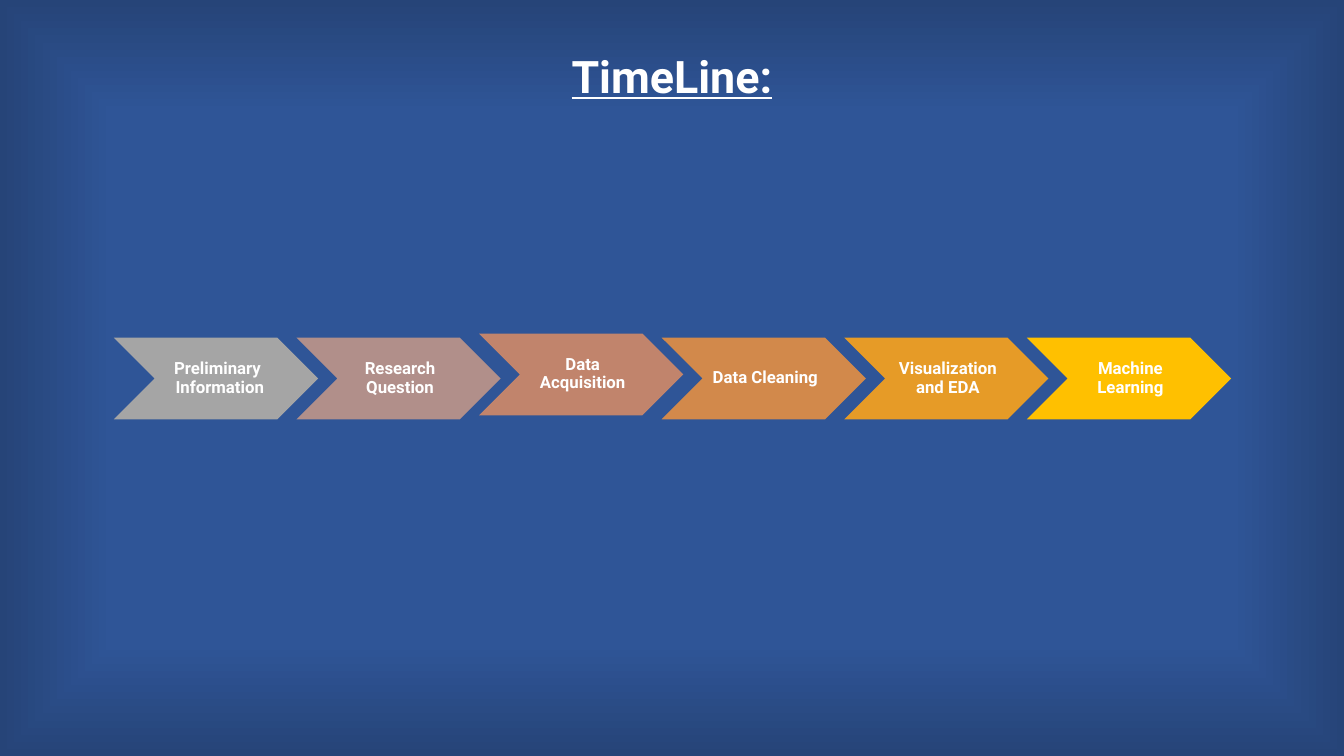
from lxml import etree
from pptx import Presentation
from pptx.dml.color import RGBColor
from pptx.enum.shapes import MSO_SHAPE as SHAPE
from pptx.enum.text import MSO_ANCHOR as ANCHOR, PP_ALIGN as ALIGN
from pptx.oxml import parse_xml
from pptx.util import Inches, Pt

STEPS = [
    ("Preliminary Information ", "A5A5A5"),
    ("Research Question", "B18F8A"),
    ("Data Acquisition", "C1846C"),
    ("Data Cleaning", "D2894B"),
    ("Visualization and EDA", "E69B27"),
    ("Machine Learning", "FFC000"),
]
RAISED_STEP = 2
DRAWING_NS = "http://schemas.openxmlformats.org/drawingml/2006/main"
VIGNETTE = f"""<a:gradFill xmlns:a="{DRAWING_NS}" rotWithShape="1">
  <a:gsLst>
    <a:gs pos="70000"><a:srgbClr val="2F5597"/></a:gs>
    <a:gs pos="100000"><a:srgbClr val="264478"/></a:gs>
  </a:gsLst>
  <a:path path="shape"><a:fillToRect l="50000" t="50000" r="50000" b="50000"/></a:path>
</a:gradFill>"""


def rgb(color):
    return RGBColor.from_string(color)


def write(sp, text, size=12, spacing=0.9, underline=False, anchor=ANCHOR.MIDDLE,
          margins=(0.05, 0.02, 0.02, 0.02), rtl=False):
    tf = sp.text_frame
    tf.word_wrap = True
    tf.vertical_anchor = anchor
    tf.margin_left, tf.margin_top, tf.margin_right, tf.margin_bottom = map(Inches, margins)
    p = tf.paragraphs[0]
    p.alignment = ALIGN.CENTER
    p.line_spacing = spacing
    if rtl:
        p._p.get_or_add_pPr().set("rtl", "1")
    r = p.add_run()
    r.text = text
    r.font.name = "Roboto"
    r.font.size = Pt(size)
    r.font.bold = True
    r.font.underline = underline
    r.font.color.rgb = rgb("FFFFFF")


def paint_background(s):
    """Fill the slide with a gradient that darkens towards its edges."""
    s.background.fill.solid()
    solid = next(s.background._cSld.iter(etree.QName(DRAWING_NS, "solidFill").text))
    solid.getparent().replace(solid, parse_xml(VIGNETTE))


def place_title(s, left, top, width, height):
    title = s.shapes.title
    title.left, title.top = Inches(left), Inches(top)
    title.width, title.height = Inches(width), Inches(height)
    write(title, "TimeLine:", size=32, spacing=1.15, underline=True,
          anchor=ANCHOR.BOTTOM, margins=(0.07, 0.04, 0.07, 0.04))


def draw_timeline(s, left, top, width, height):
    """Spread the chevrons over the box, each overlapping the one before."""
    chevron_width = 2.5 * height
    pitch = (width - chevron_width) / (len(STEPS) - 1)
    for i, (label, color) in enumerate(STEPS):
        y = top - 0.04 if i == RAISED_STEP else top
        sp = s.shapes.add_shape(SHAPE.CHEVRON, Inches(left + i * pitch), Inches(y),
                                Inches(chevron_width), Inches(height))
        sp.shadow.inherit = False
        sp.fill.solid()
        sp.fill.fore_color.rgb = rgb(color)
        sp.line.fill.background()
        write(sp, label, rtl=True)


def main():
    prs = Presentation()
    prs.slide_width, prs.slide_height = Inches(13.33), Inches(7.5)
    s = prs.slides.add_slide(prs.slide_layouts[5])
    paint_background(s)
    place_title(s, 1.24, 0.3, 10.85, 0.76)
    draw_timeline(s, 1.13, 3.35, 11.08, 0.81)
    prs.save("out.pptx")


if __name__ == "__main__":
    main()
